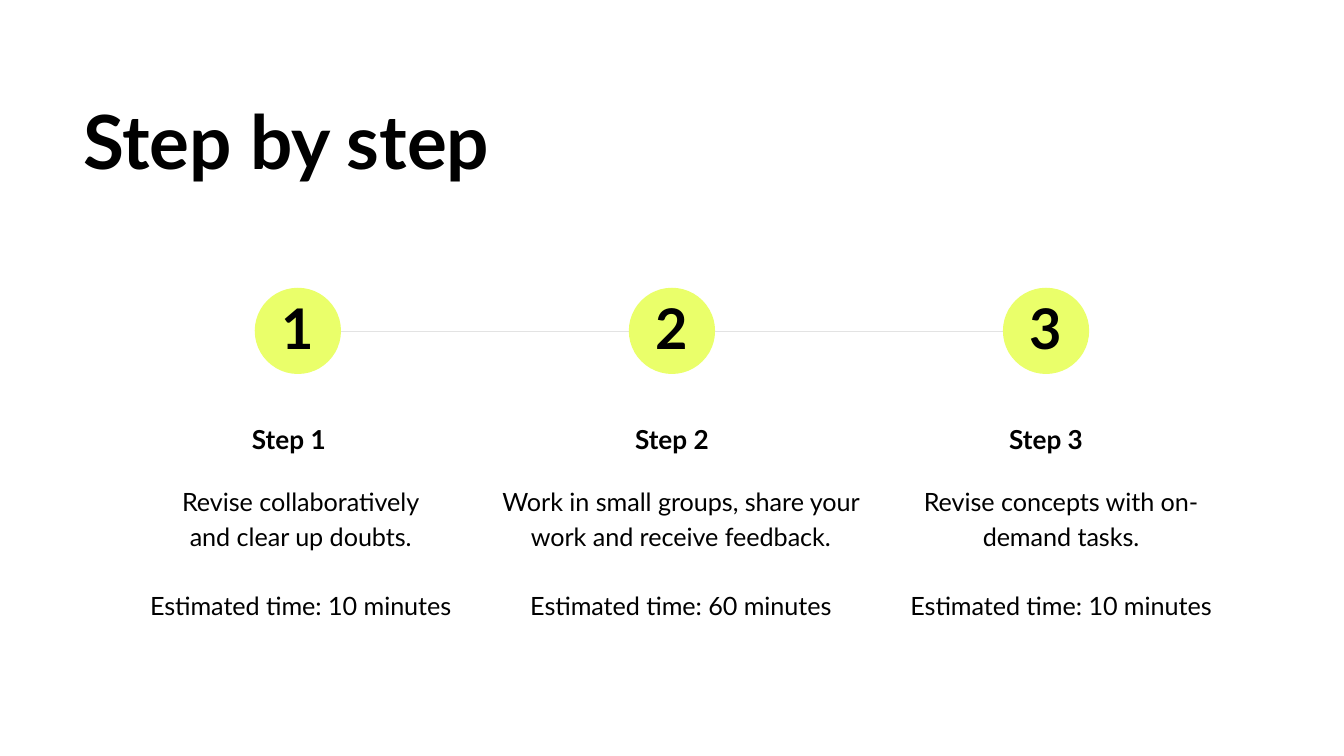
from lxml import etree
from pptx import Presentation
from pptx.dml.color import RGBColor
from pptx.enum.shapes import MSO_CONNECTOR, MSO_SHAPE
from pptx.enum.text import PP_ALIGN
from pptx.oxml.ns import qn
from pptx.util import Cm, Pt

LEFT, CENTER = PP_ALIGN.LEFT, PP_ALIGN.CENTER
OVAL, STRAIGHT = MSO_SHAPE.OVAL, MSO_CONNECTOR.STRAIGHT

COLORS = {"text": "000000", "accent": "EAFF6A", "line": "E3E3E3"}
FONT = "Lato"
FORMATS = {
    "title": {"size": Pt(40), "bold": True},
    "number": {"size": Pt(30), "bold": True},
    "heading": {"size": Pt(14), "bold": True},
    "body": {"size": Pt(13.5), "bold": False},
}

MIDDLE, PITCH = 12.7, 7.07
CIRCLE, CIRCLE_TOP, LINE_Y = 1.63, 5.44, 6.27
NUMBER_W, HEADING_W = 1.14, 5.44
BODY_LEFT, BODY_TOP, BODY_H = 2.36, 8.86, 3.07
TIME_GAP = 18.6

# Heading shift, body width, body lines, minutes
STEPS = [
    (-0.17, 6.65, ["Revise collaboratively", "and clear up doubts."], 10),
    (0, 7.72, ["Work in small groups, share your work and receive feedback."], 60),
    (0, 6.65, ["Revise concepts with on-demand tasks."], 10),
]


class Deck:
    def __init__(self, prs):
        self.s = prs.slides.add_slide(prs.slide_layouts[6])

    def text(self, box, lines, style, align=CENTER, spacing=1.15, last_gap=0):
        """Add a text box; last_gap is the space in points above its last line."""
        tf = self.s.shapes.add_textbox(*map(Cm, box)).text_frame
        tf.word_wrap = True
        for side in ("left", "top", "right", "bottom"):
            setattr(tf, f"margin_{side}", Cm(0.25))
        for i, line in enumerate(lines):
            p = tf.add_paragraph() if i else tf.paragraphs[0]
            p.alignment, p.line_spacing = align, spacing
            if last_gap and i == len(lines) - 1:
                p.space_before = Pt(last_gap)
            r = p.add_run()
            r.text = line
            r.font.name = FONT
            r.font.color.rgb = RGBColor.from_string(COLORS["text"])
            for name, value in FORMATS[style].items():
                setattr(r.font, name, value)

    def circle(self, center):
        sp = self.s.shapes.add_shape(
            OVAL, Cm(center - CIRCLE / 2), Cm(CIRCLE_TOP), Cm(CIRCLE), Cm(CIRCLE))
        sp.shadow.inherit = False
        sp.fill.solid()
        sp.fill.fore_color.rgb = RGBColor.from_string(COLORS["accent"])
        sp.line.fill.background()

    def line(self, x1, x2, y):
        cxn = self.s.shapes.add_connector(STRAIGHT, Cm(x1), Cm(y), Cm(x2), Cm(y))
        cxn.line.color.rgb = RGBColor.from_string(COLORS["line"])
        cxn.line.width = Pt(0.75)
        sp_pr = cxn._element.spPr
        etree.SubElement(sp_pr, qn("a:effectLst"))


def main():
    prs = Presentation()
    prs.slide_width, prs.slide_height = Cm(25.4), Cm(14.29)
    deck = Deck(prs)
    deck.text((1.32, 1.73, 22.6, 2.06), ["Step by step"], "title", LEFT, 0.9)

    body_left = BODY_LEFT
    for i, (shift, width, lines, minutes) in enumerate(STEPS):
        center = MIDDLE + (i - 1) * PITCH
        if i:
            deck.line(center - PITCH + CIRCLE / 2, center - CIRCLE / 2, LINE_Y)
        deck.circle(center)
        deck.text((center - NUMBER_W / 2, CIRCLE_TOP, NUMBER_W, 1.68),
                  [str(i + 1)], "number", spacing=0.9)
        deck.text((center + shift - HEADING_W / 2, 7.67, HEADING_W, 1.12),
                  [f"Step {i + 1}"], "heading")
        deck.text((body_left, BODY_TOP, width, BODY_H),
                  lines + [f"Estimated time: {minutes} minutes"], "body",
                  last_gap=TIME_GAP)
        body_left += width

    prs.save("out.pptx")


if __name__ == "__main__":
    main()
